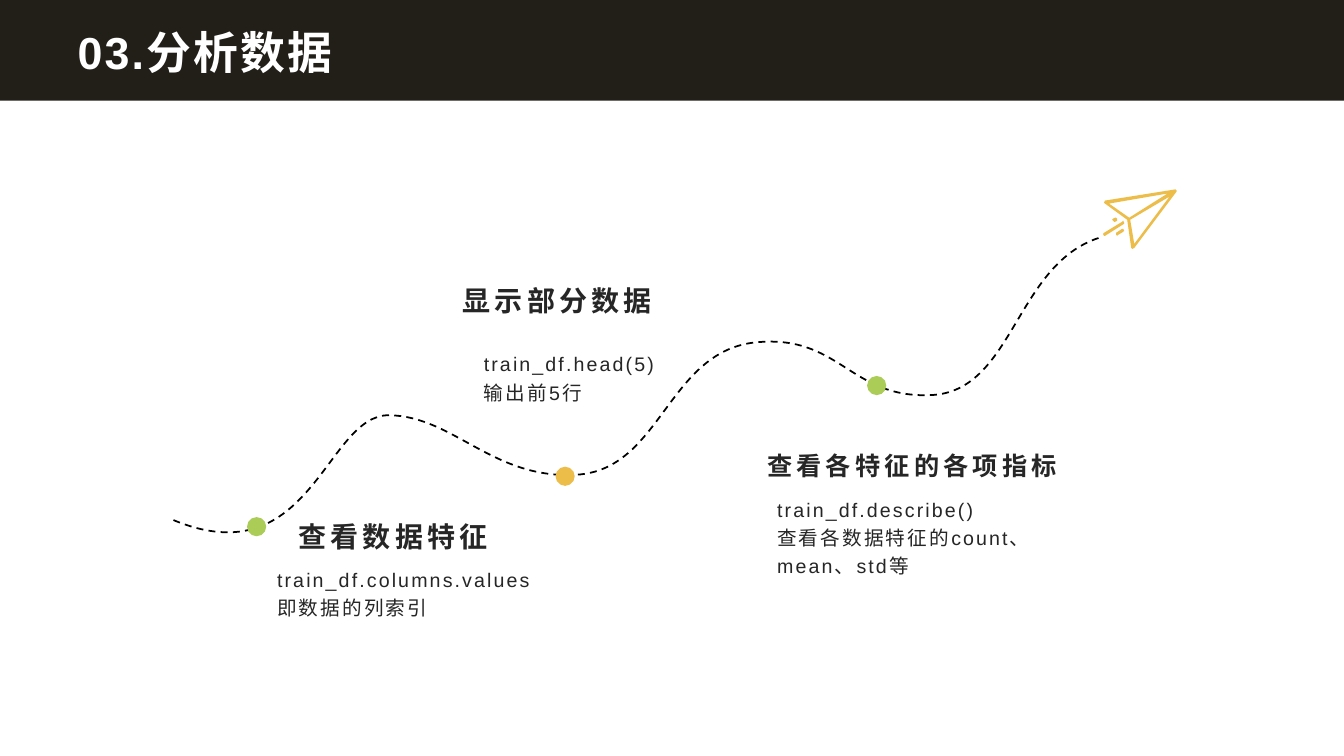
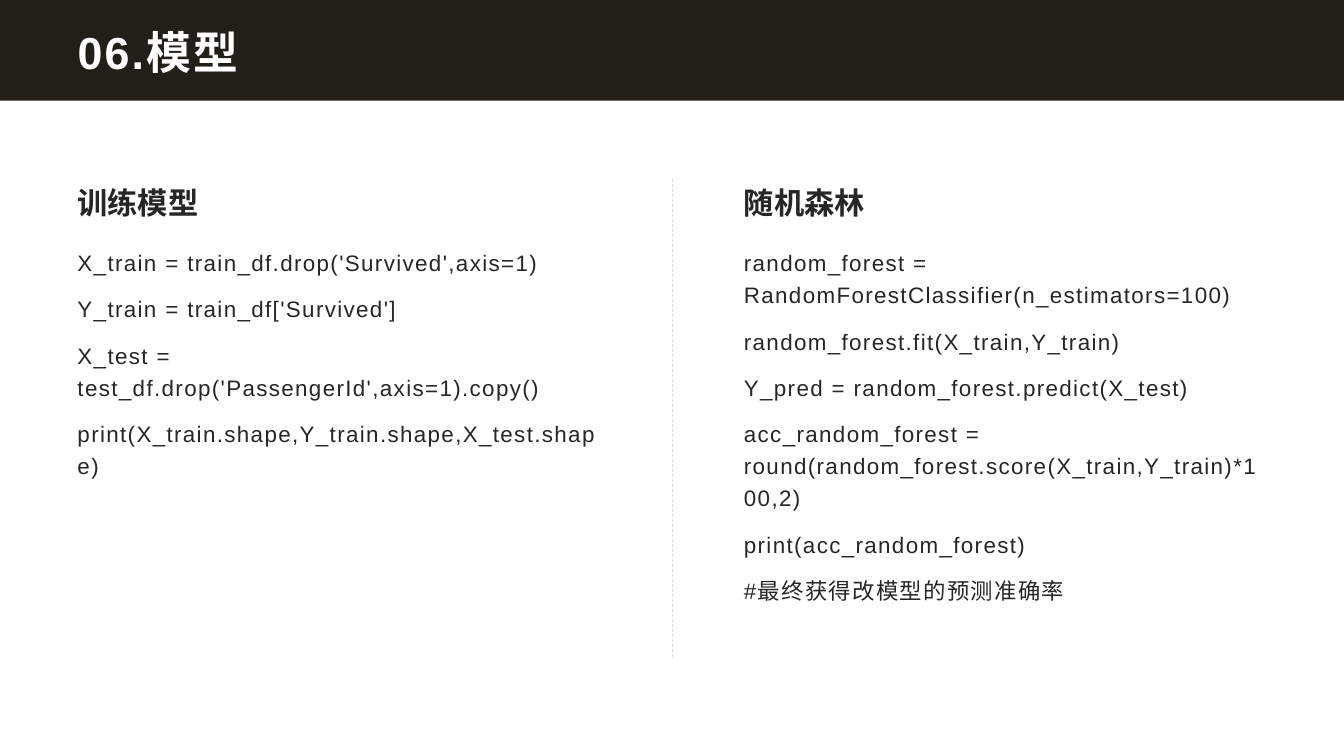
from lxml.etree import SubElement
from pptx import Presentation
from pptx.dml.color import RGBColor
from pptx.enum.dml import MSO_LINE
from pptx.enum.shapes import MSO_CONNECTOR, MSO_SHAPE
from pptx.enum.text import MSO_ANCHOR, MSO_AUTO_SIZE, PP_ALIGN
from pptx.oxml.ns import qn
from pptx.util import Emu, Pt

EMU_PER_PX = 9144  # 100 px to the inch
WIDTH, HEIGHT, MARGIN = 1333, 750, 67
BAND_HEIGHT = 100

BAND = RGBColor(0x22, 0x1F, 0x19)
WHITE = RGBColor(0xFF, 0xFF, 0xFF)
BLACK = RGBColor(0, 0, 0)
INK = RGBColor(0x26, 0x26, 0x26)
RULE = RGBColor(0xD9, 0xD9, 0xD9)
GREEN = RGBColor(0xAB, 0xCC, 0x57)
YELLOW = RGBColor(0xEC, 0xBD, 0x49)

FONT = "Arial"
# size, bold and letter spacing in points; line spacing; space before in points
TITLE = dict(size=32, bold=True, tracking=1.5, line=0.9, color=WHITE)
STEP_HEADING = dict(size=20, bold=True, tracking=3, line=1.2)
FIRST_HEADING = dict(STEP_HEADING, line=1.1)
LONG_HEADING = dict(STEP_HEADING, size=18)
STEP_BODY = dict(size=14, tracking=1.5, line=1.2)
COLUMN_HEADING = dict(size=21.6, bold=True)
COLUMN_BODY = dict(size=16, tracking=1, line=1.2, before=10)

DOT = 19
STEPS = [
    dict(dot=(245, 513), color=GREEN,
         heading="查看数据特征", heading_box=(286, 507, 222, 47), style=FIRST_HEADING,
         body=["train_df.columns.values", "即数据的列索引"], body_box=(265, 554, 306, 99)),
    dict(dot=(551, 463), color=YELLOW,
         heading="显示部分数据", heading_box=(449, 264, 637, 56), style=STEP_HEADING,
         body=["train_df.head(5)", "输出前5行"], body_box=(470, 340, 358, 105)),
    dict(dot=(860, 373), color=GREEN,
         heading="查看各特征的各项指标", heading_box=(751, 435, 417, 47), style=LONG_HEADING,
         body=["train_df.describe()", "查看各数据特征的count、mean、std等"],
         body_box=(761, 484, 347, 109)),
]

# start, then two control points and an end for every bend
FLIGHT_PATH = [
    (172, 516),
    (309, 573), (323, 411), (386, 412),
    (450, 413), (489, 476), (572, 471),
    (655, 466), (662, 351), (747, 340),
    (833, 330), (842, 396), (924, 392),
    (1005, 388), (1007, 263), (1090, 236),
]
PLANE_OUTLINES = [
    [(1167, 189), (1166, 188), (1165, 188), (1096, 199), (1095, 201), (1096, 202),
     (1118, 218), (1122, 246), (1123, 247), (1125, 246), (1167, 190)],
    [(1125, 242), (1121, 218), (1160, 195)],
    [(1100, 202), (1158, 192), (1120, 216)],
    [(1114, 227), (1113, 227), (1107, 231), (1107, 233), (1108, 234), (1109, 233),
     (1114, 230), (1115, 229)],
    [(1115, 221), (1114, 219), (1113, 220), (1095, 231), (1094, 232), (1095, 234),
     (1096, 234), (1115, 222)],
    [(1106, 220), (1108, 219), (1108, 217), (1107, 216), (1106, 216), (1104, 217),
     (1103, 218), (1105, 220)],
]

COLUMN_WIDTH, COLUMN_TOP, COLUMN_BOTTOM = 538, 178, 652
HEADING_HEIGHT, CODE_TOP = 50, 237
COLUMNS = [
    ("训练模型", [
        "X_train = train_df.drop('Survived',axis=1)",
        "Y_train = train_df['Survived']",
        "X_test = test_df.drop('PassengerId',axis=1).copy()",
        "print(X_train.shape,Y_train.shape,X_test.shape)",
    ]),
    ("随机森林", [
        "random_forest = RandomForestClassifier(n_estimators=100)",
        "random_forest.fit(X_train,Y_train)",
        "Y_pred = random_forest.predict(X_test)",
        "acc_random_forest = round(random_forest.score(X_train,Y_train)*100,2)",
        "print(acc_random_forest)",
        "#最终获得改模型的预测准确率",
    ]),
]


def px(*lengths):
    return [Emu(length * EMU_PER_PX) for length in lengths]


def write(frame, lines, size, bold=False, tracking=0, line=1.0, before=0, color=INK,
          anchor=MSO_ANCHOR.TOP):
    frame.word_wrap = True
    frame.auto_size = MSO_AUTO_SIZE.NONE
    frame.vertical_anchor = anchor
    frame.text = "\n".join(lines)
    for para in frame.paragraphs:
        para.alignment = PP_ALIGN.LEFT
        para.line_spacing = line
        para.space_before = Pt(before)
        for span in para.runs:
            span.font.name = FONT
            span.font.size = Pt(size)
            span.font.bold = bold
            span.font.color.rgb = color
            properties = span._r.get_or_add_rPr()
            properties.set("lang", "zh-CN")
            properties.set("spc", str(round(tracking * 100)))


def add_text(page, box, lines, style, anchor=MSO_ANCHOR.TOP):
    write(page.shapes.add_textbox(*px(*box)).text_frame, lines, anchor=anchor, **style)


def fill_plain(shape, color):
    shape.shadow.inherit = False
    shape.fill.solid()
    shape.fill.fore_color.rgb = color
    shape.line.fill.background()


def set_dashed(line, color, width):
    line.color.rgb = color
    line.width = Pt(width)
    line.dash_style = MSO_LINE.DASH


def add_page(deck, title):
    page = deck.slides.add_slide(deck.slide_layouts[5])
    holder = page.shapes.title
    holder.left, holder.top, holder.width, holder.height = px(
        MARGIN, 17, WIDTH - 2 * MARGIN, 67)
    write(holder.text_frame, [title], anchor=MSO_ANCHOR.BOTTOM, **TITLE)
    band = page.shapes.add_shape(MSO_SHAPE.RECTANGLE, *px(0, 0, WIDTH, BAND_HEIGHT))
    fill_plain(band, BAND)
    holder.element.addprevious(band.element)
    return page


def add_flight_path(page):
    """Build the outline through all its points, then turn each three into one bend."""
    start, *rest = [px(*point) for point in FLIGHT_PATH]
    builder = page.shapes.build_freeform(*start)
    builder.add_line_segments(rest, close=False)
    curve = builder.convert_to_shape()
    curve.shadow.inherit = False
    curve.fill.background()
    set_dashed(curve.line, BLACK, 1.25)
    outline = next(curve.element.iter(qn("a:path")))
    segments = outline.findall(qn("a:lnTo"))
    for first in range(0, len(segments), 3):
        bend = SubElement(outline, qn("a:cubicBezTo"))
        for segment in segments[first:first + 3]:
            bend.append(segment[0])
            outline.remove(segment)


def add_plane(page):
    builder = None
    for outline in PLANE_OUTLINES:
        start, *rest = [px(*point) for point in outline]
        if builder is None:
            builder = page.shapes.build_freeform(*start)
        else:
            builder.move_to(*start)
        builder.add_line_segments(rest, close=True)
    fill_plain(builder.convert_to_shape(), YELLOW)


def add_analysis(deck):
    page = add_page(deck, "03.分析数据")
    add_flight_path(page)
    add_plane(page)
    for step in STEPS:
        dot = page.shapes.add_shape(MSO_SHAPE.OVAL, *px(*step["dot"], DOT, DOT))
        fill_plain(dot, step["color"])
        add_text(page, step["body_box"], step["body"], STEP_BODY)
        add_text(page, step["heading_box"], [step["heading"]], step["style"],
                 MSO_ANCHOR.BOTTOM)


def add_model(deck):
    page = add_page(deck, "06.模型")
    lefts = (MARGIN, WIDTH - MARGIN - COLUMN_WIDTH)
    for left, (heading, code) in zip(lefts, COLUMNS):
        add_text(page, (left, COLUMN_TOP, COLUMN_WIDTH, HEADING_HEIGHT), [heading],
                 COLUMN_HEADING)
        add_text(page, (left, CODE_TOP, COLUMN_WIDTH, COLUMN_BOTTOM - CODE_TOP), code,
                 COLUMN_BODY)
    middle = round(WIDTH / 2 + 0.5)
    divider = page.shapes.add_connector(
        MSO_CONNECTOR.STRAIGHT, *px(middle, COLUMN_TOP, middle, COLUMN_BOTTOM))
    set_dashed(divider.line, RULE, 0.5)
    SubElement(divider.element.spPr, qn("a:effectLst"))


def main():
    deck = Presentation()
    deck.slide_width, deck.slide_height = px(WIDTH, HEIGHT)
    add_analysis(deck)
    add_model(deck)
    deck.save("out.pptx")


if __name__ == "__main__":
    main()
